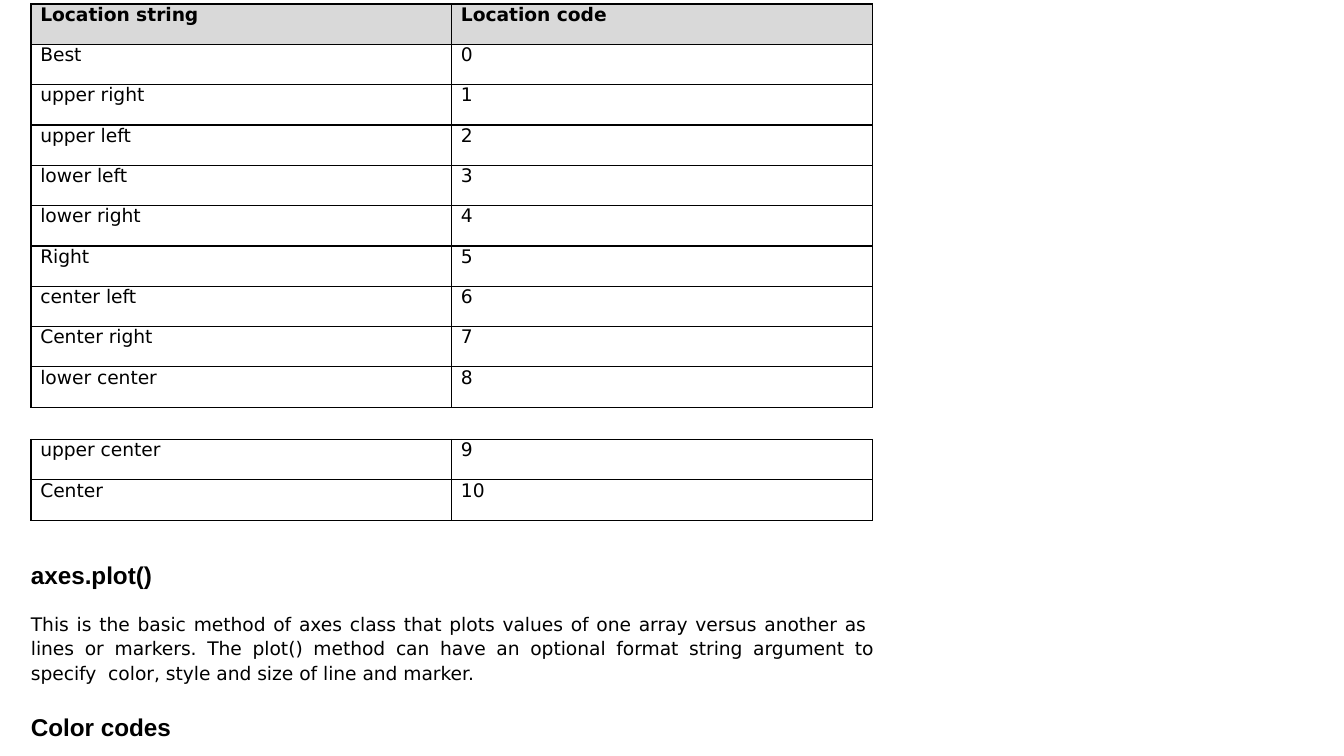
from pptx import Presentation
from pptx.dml.color import RGBColor
from pptx.enum.text import MSO_ANCHOR, MSO_AUTO_SIZE, PP_ALIGN
from pptx.oxml.ns import qn
from pptx.util import Inches, Pt
from lxml import etree

BLACK = RGBColor(0x00, 0x00, 0x00)
GREY = RGBColor(0xD9, 0xD9, 0xD9)
TOP, JUSTIFY, LEFT = MSO_ANCHOR.TOP, PP_ALIGN.JUSTIFY, PP_ALIGN.LEFT
GROW = MSO_AUTO_SIZE.SHAPE_TO_FIT_TEXT
BODY_FONT, HEAD_FONT = "DejaVu Sans", "Arial"

# Grid of the tables
GRID_X, COL_W, ROW_H = 0.23, 3.13, 0.3

HEADER = ("Location string", "Location code")
LOCATIONS = [
    "Best", "upper right", "upper left", "lower left", "lower right", "Right",
    "center left", "Center right", "lower center", "upper center", "Center",
]
FIRST_PART = 9  # locations in the upper table
PLOT_TEXT = (
    "This is the basic method of axes class that plots values of one array "
    "versus another as  lines or markers. The plot() method can have an "
    "optional format string argument to specify  color, style and size of "
    "line and marker."
)


def add_run(p, text, font, size, bold=False):
    r = p.add_run()
    r.text = text
    r.font.name = font
    r.font.size = Pt(size)
    r.font.bold = bold
    r.font.color.rgb = BLACK


def indent(p, inches):
    pPr = p._p.get_or_add_pPr()
    pPr.set("marL", str(Inches(inches)))
    pPr.set("indent", "0")


def add_borders(cell):
    tcPr = cell._tc.get_or_add_tcPr()
    for side in ("a:lnL", "a:lnR", "a:lnT", "a:lnB"):
        ln = etree.SubElement(tcPr, qn(side), w=str(Pt(0.75)))
        fill = etree.SubElement(ln, qn("a:solidFill"))
        etree.SubElement(fill, qn("a:srgbClr"), val=str(BLACK))


def fill_cell(cell, text, header):
    cell.margin_left = cell.margin_right = 0
    cell.margin_top = cell.margin_bottom = 0
    cell.vertical_anchor = TOP
    add_borders(cell)
    if header:
        cell.fill.solid()
        cell.fill.fore_color.rgb = GREY
    else:
        cell.fill.background()
    p = cell.text_frame.paragraphs[0]
    indent(p, 0.07)
    add_run(p, text, BODY_FONT, 10, header)


def add_location_table(s, top, rows):
    frame = s.shapes.add_table(
        len(rows), 2, Inches(GRID_X), Inches(top),
        Inches(2 * COL_W), Inches(ROW_H * len(rows)))
    table = frame.table
    table.first_row = table.horz_banding = False
    for i, row in enumerate(rows):
        table.rows[i].height = Inches(ROW_H)
        for j, text in enumerate(row):
            fill_cell(table.cell(i, j), text, row == HEADER)


def add_paragraph(p, text, font, size, bold=False, before=0, spacing=1.0,
                  align=LEFT):
    indent(p, 0.02)
    p.alignment = align
    p.space_before = Pt(before)
    p.line_spacing = spacing
    add_run(p, text, font, size, bold)


def add_plot_section(s):
    box = s.shapes.add_textbox(Inches(0.21), Inches(4.16), Inches(6.29), Inches(1.19))
    tf = box.text_frame
    tf.word_wrap = True
    tf.auto_size = GROW
    tf.margin_left = tf.margin_right = tf.margin_bottom = 0
    tf.margin_top = Inches(0.01)
    add_paragraph(tf.paragraphs[0], "axes.plot()", HEAD_FONT, 13, True)
    add_paragraph(tf.add_paragraph(), PLOT_TEXT, BODY_FONT, 10,
                  before=11.2, spacing=1.09, align=JUSTIFY)
    add_paragraph(tf.add_paragraph(), "Color codes", HEAD_FONT, 13, True, before=15)


def main():
    prs = Presentation()
    prs.slide_width = Inches(10)
    prs.slide_height = prs.slide_width * 9 // 16
    s = prs.slides.add_slide(prs.slide_layouts[6])

    # Location codes, split over two tables
    rows = [(name, str(code)) for code, name in enumerate(LOCATIONS)]
    add_location_table(s, 0.03, [HEADER] + rows[:FIRST_PART])
    add_location_table(s, 3.27, rows[FIRST_PART:])

    # Section on plotting
    add_plot_section(s)
    prs.save("out.pptx")


if __name__ == "__main__":
    main()
